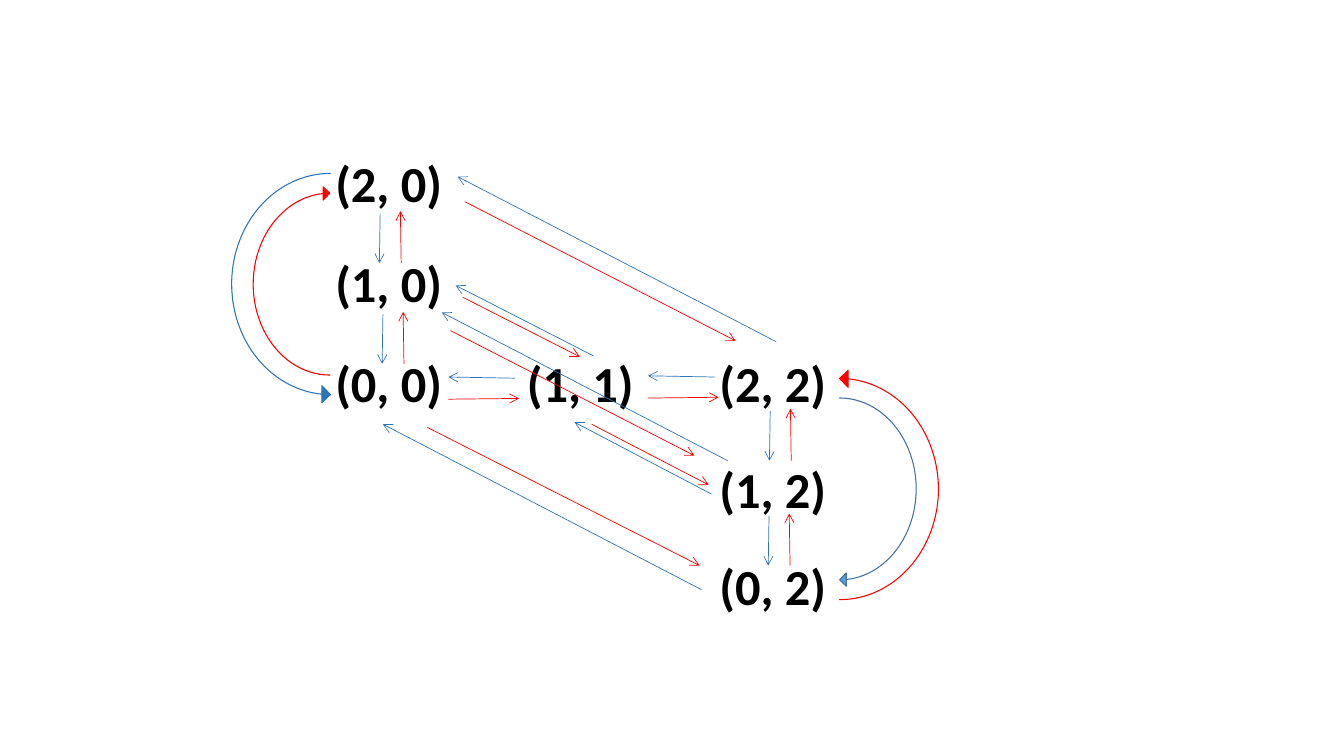
from dataclasses import dataclass

from lxml import etree
from pptx import Presentation
from pptx import util as u
from pptx.dml.color import RGBColor
from pptx.enum import shapes, text
from pptx.oxml.ns import qn


@dataclass(frozen=True)
class Theme:
    font: str = "Calibri"
    label_size: int = 36
    arrow_width: float = 0.5
    black: str = "000000"
    white: str = "FFFFFF"
    blue: str = "2E75B6"
    light_blue: str = "5B9BD5"
    dark_blue: str = "43739E"
    red: str = "FF0000"


class Diagram:
    def __init__(self, slide, theme):
        self.slide = slide
        self.theme = theme

    def shape(self, kind, box, fill, line, line_width):
        shape = self.slide.shapes.add_shape(kind, *map(u.Cm, box))
        shape.shadow.inherit = False
        shape.fill.solid()
        shape.fill.fore_color.rgb = RGBColor.from_string(fill)
        shape.line.color.rgb = RGBColor.from_string(line)
        shape.line.width = u.Pt(line_width)
        return shape

    def panel(self, box):
        self.shape(shapes.MSO_SHAPE.RECTANGLE, box, self.theme.white, self.theme.white, 1)

    def label(self, wording, left, top):
        box = self.slide.shapes.add_textbox(u.Cm(left), u.Cm(top), u.Cm(3.35), u.Cm(1.8))
        frame = box.text_frame
        frame.word_wrap = True
        frame.auto_size = text.MSO_AUTO_SIZE.SHAPE_TO_FIT_TEXT
        run = frame.paragraphs[0].add_run()
        run.text = wording
        run.font.name = self.theme.font
        run.font.size = u.Pt(self.theme.label_size)
        run.font.bold = True
        run.font.color.rgb = RGBColor.from_string(self.theme.black)

    def arrow(self, start, end, color):
        connector = self.slide.shapes.add_connector(
            shapes.MSO_CONNECTOR.STRAIGHT, *map(u.Cm, (*start, *end)))
        connector.line.color.rgb = RGBColor.from_string(color)
        connector.line.width = u.Pt(self.theme.arrow_width)
        line = connector.line._get_or_add_ln()
        etree.SubElement(line, qn("a:tailEnd"), type="arrow")
        etree.SubElement(connector._element.spPr, qn("a:effectLst"))

    def arrow_pair(self, blue_start, blue_end, red_start, red_end):
        self.arrow(blue_start, blue_end, self.theme.blue)
        self.arrow(red_start, red_end, self.theme.red)

    def stepped_pair(self, origin, offsets):
        ends = [(origin[0] + x, origin[1] + y) for x, y in offsets]
        self.arrow_pair(origin, *ends)

    def curve(self, box, fill, line, rotation, flipped):
        shape = self.shape(shapes.MSO_SHAPE.CURVED_LEFT_ARROW, box, fill, line, 0)
        for index, value in enumerate((0, 0.173, 0.087)):
            shape.adjustments[index] = value
        shape.rotation = rotation
        if flipped:
            shape._element.spPr.get_or_add_xfrm().set("flipH", "1")


COLUMNS = (8.2, 13.03, 17.88)
ROWS = (3.71, 6.22, 8.74, 11.43, 13.87)
LABELS = (
    ("(2, 0)", 0, 0), ("(1, 0)", 0, 1), ("(0, 0)", 0, 2), ("(1, 1)", 1, 2),
    ("(2, 2)", 2, 2), ("(1, 2)", 2, 3), ("(0, 2)", 2, 4),
)
HORIZONTAL_OFFSETS = ((-1.68, -0.03), (-1.68, 0.53), (0.1, 0.51))
HORIZONTAL_ORIGINS = ((18.01, 9.5), (12.98, 9.53))
VERTICAL_OFFSETS = ((-0.02, 1.25), (0.53, 1.25), (0.51, -0.06))
VERTICAL_ORIGINS = ((9.65, 7.92), (9.58, 5.38), (19.41, 10.36), (19.38, 13.0))
DIAGONALS = (
    ((19.56, 8.61), (11.53, 4.45), (11.71, 5.08), (18.54, 8.59)),
    ((17.68, 14.86), (9.65, 10.69), (10.77, 10.77), (17.63, 14.25)),
    ((14.96, 8.97), (11.48, 7.19), (11.66, 7.49), (14.61, 8.99)),
    ((17.93, 12.45), (14.48, 10.64), (14.91, 10.69), (17.86, 12.22)),
    ((18.34, 11.61), (11.13, 7.87), (11.35, 8.33), (17.5, 11.48)),
)
INNER_CURVE = (1.93, 4.75)
OUTER_CURVE = (2.49, 5.79)


def main():
    presentation = Presentation()
    presentation.slide_width = u.Cm(33.87)
    presentation.slide_height = u.Cm(19.05)
    theme = Theme()
    diagram = Diagram(presentation.slides.add_slide(presentation.slide_layouts[6]), theme)

    diagram.panel((4.06, 2.11, 22.1, 14.83))
    for wording, column, row in LABELS:
        diagram.label(wording, COLUMNS[column], ROWS[row])
    for origin in HORIZONTAL_ORIGINS:
        diagram.stepped_pair(origin, HORIZONTAL_OFFSETS)
    for origin in VERTICAL_ORIGINS:
        diagram.stepped_pair(origin, VERTICAL_OFFSETS)
    for points in DIAGONALS:
        diagram.arrow_pair(*points)

    diagram.curve((21.16, 10.03, *INNER_CURVE), theme.light_blue, theme.dark_blue, 0, False)
    diagram.curve((21.16, 9.32, *OUTER_CURVE), theme.red, theme.red, 180, True)
    diagram.curve((6.38, 4.7, *INNER_CURVE), theme.red, theme.red, 180, False)
    diagram.curve((5.84, 4.37, *OUTER_CURVE), theme.blue, theme.blue, 0, True)

    presentation.save("out.pptx")


if __name__ == "__main__":
    main()
